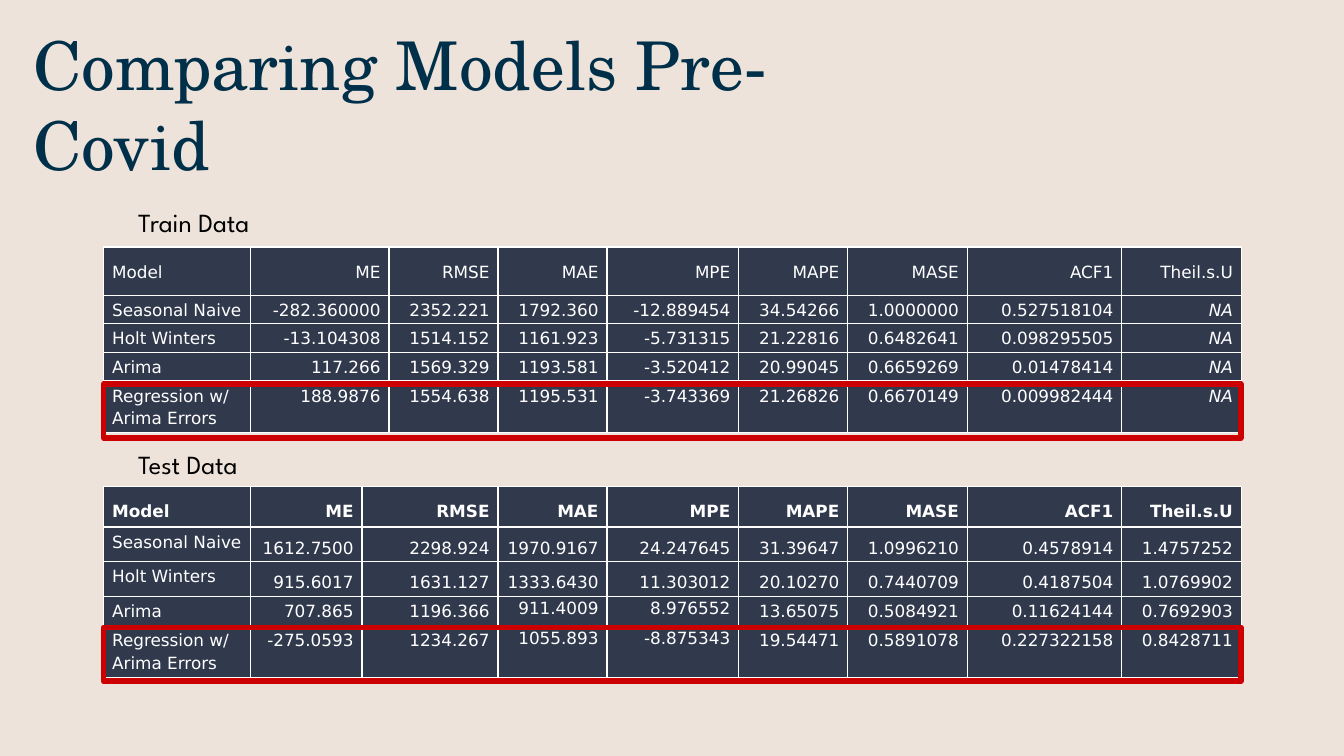
from lxml.etree import SubElement
from pptx import Presentation
from pptx.dml.color import RGBColor
from pptx.enum.shapes import MSO_SHAPE as Shape
from pptx.enum.text import MSO_ANCHOR as Anchor, MSO_AUTO_SIZE as AutoSize, PP_ALIGN as Align
from pptx.oxml.ns import qn
from pptx.util import Cm, Pt

INK, NAVY, CELL, SAND, WHITE, RED = "000000", "002F4A", "31394D", "EDE3DA", "FFFFFF", "CC0000"
TABLE_LEFT, TABLE_WIDTH = 1.96, 21.49

HEADER = ["Model", "ME", "RMSE", "MAE", "MPE", "MAPE", "MASE", "ACF1", "Theil.s.U"]
TRAIN_ROWS = [
    ["Seasonal Naive", "-282.360000", "2352.221", "1792.360", "-12.889454",
     "34.54266", "1.0000000", "0.527518104", "NA"],
    ["Holt Winters", "-13.104308", "1514.152", "1161.923", "-5.731315",
     "21.22816", "0.6482641", "0.098295505", "NA"],
    ["Arima", "117.266", "1569.329", "1193.581", "-3.520412",
     "20.99045", "0.6659269", "0.01478414", "NA"],
    ["Regression w/ Arima Errors", "188.9876", "1554.638", "1195.531", "-3.743369",
     "21.26826", "0.6670149", "0.009982444", "NA"],
]
TEST_ROWS = [
    ["Seasonal Naive", "1612.7500", "2298.924", "1970.9167", "24.247645",
     "31.39647", "1.0996210", "0.4578914", "1.4757252"],
    ["Holt Winters", "915.6017", "1631.127", "1333.6430", "11.303012",
     "20.10270", "0.7440709", "0.4187504", "1.0769902"],
    ["Arima", "707.865", "1196.366", "911.4009", "8.976552",
     "13.65075", "0.5084921", "0.11624144", "0.7692903"],
    ["Regression w/ Arima Errors", "-275.0593", "1234.267", "1055.893", "-8.875343",
     "19.54471", "0.5891078", "0.227322158", "0.8428711"],
]
SHARED_COLUMNS = [2.06, 2.49, 2.06, 2.26, 2.92, 2.26]
TRAIN_COLUMNS = [2.77, 2.62, 2.06] + SHARED_COLUMNS
TEST_COLUMNS = [2.77, 2.11, 2.57] + SHARED_COLUMNS


def color(value):
    return RGBColor.from_string(value)


def apply_format(target, values):
    for name, value in values.items():
        setattr(target, name, value)


def write_text(paragraph, text, hex_color, font_values):
    run = paragraph.add_run()
    run.text = text
    apply_format(run.font, font_values)
    run.font.color.rgb = color(hex_color)


def add_text(slide, box, text, hex_color, font_values, frame_values):
    shape = slide.shapes.add_textbox(*map(Cm, box))
    margins = {f"margin_{side}": Cm(0.25) for side in ("left", "top", "right", "bottom")}
    apply_format(shape.text_frame, {"word_wrap": True, **margins, **frame_values})
    write_text(shape.text_frame.paragraphs[0], text, hex_color, font_values)


def add_label(slide, top, text):
    add_text(slide, (2.36, top, 3.05, 1.12), text, INK,
             {"name": "League Spartan", "size": Pt(14)},
             {"auto_size": AutoSize.SHAPE_TO_FIT_TEXT})


def add_borders(cell):
    properties = cell._tc.get_or_add_tcPr()
    for side in ("lnL", "lnR", "lnT", "lnB"):
        line = SubElement(properties, qn(f"a:{side}"), w=str(Pt(0.75)))
        fill = SubElement(line, qn("a:solidFill"))
        SubElement(fill, qn("a:srgbClr"), val=WHITE)


def train_spacing(row, column):
    return 1.15


def test_spacing(row, column):
    if row in (1, 2) and column > 0:
        return 1.45
    if row in (3, 4) and column in (3, 4):
        return 1.0
    return 1.15


def fill_cell(cell, text, is_header, is_first, bold, spacing):
    add_borders(cell)
    cell.fill.solid()
    cell.fill.fore_color.rgb = color(CELL)
    apply_format(cell, {
        "margin_left": Cm(0.16), "margin_right": Cm(0.16),
        "margin_top": Cm(0.25 if is_header else 0.05),
        "margin_bottom": Cm(0.08 if is_header else 0.05),
    })
    paragraph = cell.text_frame.paragraphs[0]
    apply_format(paragraph, {"alignment": Align.LEFT if is_first else Align.RIGHT,
                             "line_spacing": spacing})
    write_text(paragraph, text, WHITE, {"name": "DejaVu Sans", "size": Pt(9),
                                        "bold": bold, "italic": text == "NA"})


def add_model_table(slide, top, rows, widths, header_height, row_height, bold_header, spacing):
    lines = [HEADER] + rows
    heights = [header_height] + [row_height] * len(rows)
    table = slide.shapes.add_table(len(lines), len(HEADER), Cm(TABLE_LEFT), Cm(top),
                                   Cm(TABLE_WIDTH), Cm(sum(heights))).table
    apply_format(table, {"first_row": False, "horz_banding": False})
    for column, width in zip(table.columns, widths):
        column.width = Cm(width)
    for r, (line, height) in enumerate(zip(lines, heights)):
        table.rows[r].height = Cm(height)
        for c, text in enumerate(line):
            fill_cell(table.cell(r, c), text, r == 0, c == 0,
                      bold_header and r == 0, spacing(r, c))


def add_highlight(slide, top):
    shape = slide.shapes.add_shape(Shape.RECTANGLE, Cm(TABLE_LEFT), Cm(top),
                                   Cm(TABLE_WIDTH), Cm(1.02))
    shape.shadow.inherit = False
    shape.fill.background()
    shape.line.color.rgb = color(RED)
    shape.line.width = Pt(3)


def main():
    presentation = Presentation()
    apply_format(presentation, {"slide_width": Cm(25.4), "slide_height": Cm(14.29)})
    slide = presentation.slides.add_slide(presentation.slide_layouts[6])
    slide.background.fill.solid()
    slide.background.fill.fore_color.rgb = color(SAND)

    add_text(slide, (0.38, 0.13, 17.35, 3.66), "Comparing Models Pre-Covid", NAVY,
             {"name": "TeX Gyre Schola", "size": Pt(36)}, {"vertical_anchor": Anchor.MIDDLE})
    add_model_table(slide, 4.67, TRAIN_ROWS, TRAIN_COLUMNS, 0.91, 0.53, False, train_spacing)
    add_model_table(slide, 9.19, TEST_ROWS, TEST_COLUMNS, 0.74, 0.56, True, test_spacing)
    add_label(slide, 3.66, "Train Data")
    add_label(slide, 8.23, "Test Data")
    for top in (7.26, 11.86):
        add_highlight(slide, top)

    presentation.save("out.pptx")


if __name__ == "__main__":
    main()
